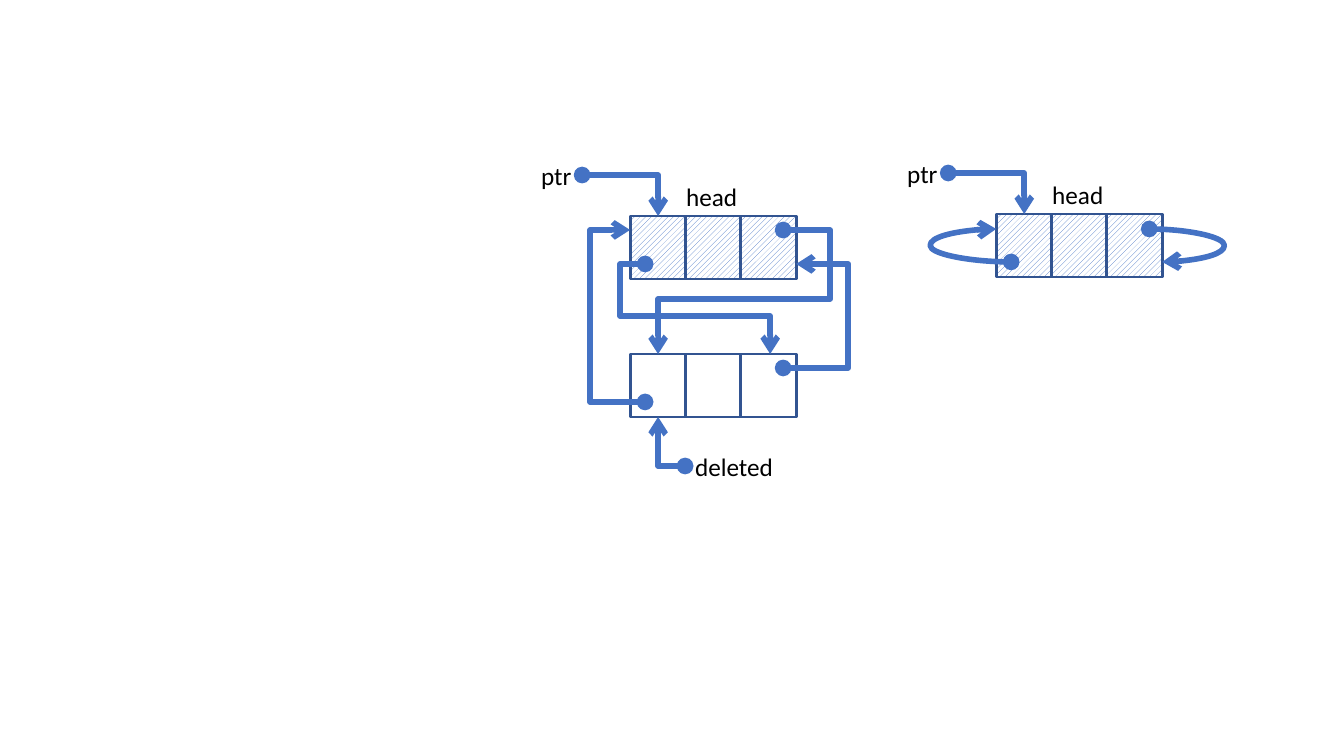
import lxml.etree
import pptx
import pptx.dml.color
import pptx.enum.dml
import pptx.enum.shapes
import pptx.enum.text
import pptx.oxml.ns
import pptx.util

PIXELS_PER_INCH = 100.8
BLUE = pptx.dml.color.RGBColor(0x44, 0x72, 0xC4)
DARK_BLUE = pptx.dml.color.RGBColor(0x32, 0x54, 0x91)
WHITE = pptx.dml.color.RGBColor(0xFF, 0xFF, 0xFF)
BLACK = pptx.dml.color.RGBColor(0, 0, 0)

NODE_WIDTH, NODE_HEIGHT, CELL_COUNT = 166, 63, 3
UPPER, LOWER = 14, 48
LEFT_DOT, RIGHT_DOT, FIRST_CELL, LAST_CELL = 15, 153, 28, 140
LABEL_HEIGHT = 40
ELBOW = pptx.enum.shapes.MSO_CONNECTOR.ELBOW
CURVE = pptx.enum.shapes.MSO_CONNECTOR.CURVE


def emu(pixels):
    return pptx.util.Emu(round(pixels * 914400 / PIXELS_PER_INCH))


def add_node(page, left, top, hatched):
    cell_width = NODE_WIDTH / CELL_COUNT
    for index in range(CELL_COUNT):
        cell = page.shapes.add_shape(
            pptx.enum.shapes.MSO_SHAPE.RECTANGLE,
            emu(left + index * cell_width), emu(top), emu(cell_width), emu(NODE_HEIGHT))
        cell.shadow.inherit = False
        cell.line.color.rgb = DARK_BLUE
        cell.line.width = pptx.util.Pt(2)
        if hatched:
            cell.fill.patterned()
            cell.fill.pattern = pptx.enum.dml.MSO_PATTERN.WIDE_UPWARD_DIAGONAL
            cell.fill.fore_color.rgb = BLUE
            cell.fill.back_color.rgb = WHITE
        else:
            cell.fill.background()


def add_label(page, text, left, top, width):
    box = page.shapes.add_textbox(emu(left), emu(top), emu(width), emu(LABEL_HEIGHT))
    frame = box.text_frame
    frame.text = text
    frame.word_wrap = False
    frame.auto_size = pptx.enum.text.MSO_AUTO_SIZE.SHAPE_TO_FIT_TEXT
    font = frame.paragraphs[0].runs[0].font
    font.name = "Calibri"
    font.size = pptx.util.Pt(18)
    font.color.rgb = BLACK


def add_link(page, start, end, bends=(), kind=ELBOW):
    link = page.shapes.add_connector(kind, *map(emu, (*start, *end)))
    link.line.color.rgb = BLUE
    link.line.width = pptx.util.Pt(4)
    qn = pptx.oxml.ns.qn
    properties = link._element.spPr
    geometry = properties.find(qn("a:prstGeom"))
    family = "curvedConnector" if kind == CURVE else "bentConnector"
    geometry.set("prst", f"{family}{len(bends) + 2}")
    guides = geometry.find(qn("a:avLst"))
    for axis, bend in enumerate(bends):
        ratio = (bend - start[axis]) / (end[axis] - start[axis])
        lxml.etree.SubElement(guides, qn("a:gd"), name=f"adj{axis + 1}",
                              fmla=f"val {round(ratio * 100000)}")
    outline = link.line._get_or_add_ln()
    lxml.etree.SubElement(outline, qn("a:headEnd"), type="oval")
    lxml.etree.SubElement(outline, qn("a:tailEnd"), type="arrow")
    lxml.etree.SubElement(properties, qn("a:effectLst"))


def add_head_node(page, left, top):
    add_node(page, left, top, True)
    add_label(page, "head", left + 46, top - 40, 73)
    add_link(page, (left - 48, top - 41), (left + FIRST_CELL, top))
    add_label(page, "ptr", left - 99, top - 61, 51)


def add_list_with_deleted_node(page, left, head_top, deleted_top):
    right = left + NODE_WIDTH
    add_head_node(page, left, head_top)
    add_node(page, left, deleted_top, False)
    add_link(page, (left + LEFT_DOT, head_top + LOWER),
             (left + LAST_CELL, deleted_top), (left - 10, head_top + 100))
    add_link(page, (left + RIGHT_DOT, head_top + UPPER),
             (left + FIRST_CELL, deleted_top), (right + 34, head_top + 83))
    add_link(page, (left + LEFT_DOT, deleted_top + LOWER),
             (left, head_top + UPPER), (left - 40,))
    add_link(page, (left + RIGHT_DOT, deleted_top + UPPER),
             (right, head_top + LOWER), (right + 52,))
    bottom = deleted_top + NODE_HEIGHT
    add_link(page, (left + 55, bottom + 49), (left + FIRST_CELL, bottom))
    add_label(page, "deleted", left + 55, bottom + 29, 100)


def add_empty_list(page, left, top):
    right = left + NODE_WIDTH
    add_head_node(page, left, top)
    add_link(page, (left + LEFT_DOT, top + LOWER), (left, top + UPPER + 1),
             (left - 66,), CURVE)
    add_link(page, (left + RIGHT_DOT, top + UPPER + 1), (right, top + LOWER),
             (right + 62,), CURVE)


def main():
    deck = pptx.Presentation()
    deck.slide_width = pptx.util.Inches(13.33)
    deck.slide_height = pptx.util.Inches(7.5)
    page = deck.slides.add_slide(deck.slide_layouts[6])
    add_empty_list(page, 996, 214)
    add_list_with_deleted_node(page, 630, 216, 354)
    deck.save("out.pptx")


main()
